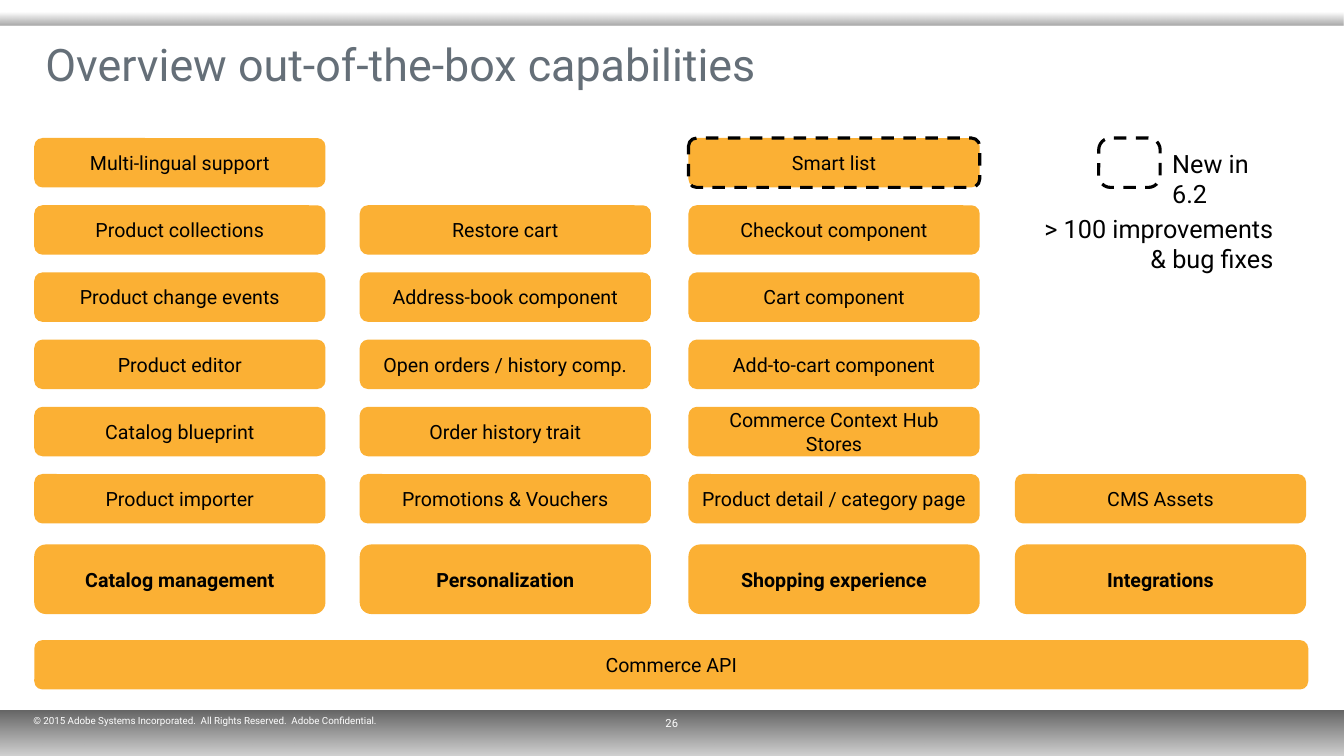
from dataclasses import dataclass, field
from typing import Any

from pptx import Presentation
from pptx.dml.color import RGBColor
from pptx.enum.dml import MSO_LINE
from pptx.enum.shapes import MSO_SHAPE
from pptx.enum.text import MSO_ANCHOR, PP_ALIGN
from pptx.oxml import parse_xml
from pptx.oxml.ns import nsdecls
from pptx.util import Pt

HUES = {"amber": "FBB034", "black": "000000", "white": "FFFFFF", "slate": "656F78"}
FACE = "Roboto"
WIDE, HIGH = 208, 35.3
TOP, STEP = 98.6, 48
HEAD_TOP, HEAD_HIGH = 388.9, 49.7


@dataclass
class Column:
    left: float
    head: str
    items: list[str]


@dataclass
class Box:
    left: float
    top: float
    wide: float
    high: float
    text: str = ""
    fill: str = "amber"
    bold: bool = False
    dash: bool = False
    curve: float = 0.167


@dataclass
class Label:
    left: float
    top: float
    wide: float
    high: float
    text: str
    size: float
    hue: str = "black"
    align: Any = PP_ALIGN.LEFT
    frame: dict[str, Any] = field(default_factory=dict)


@dataclass
class Band:
    top: float
    high: float
    stops: list[tuple[int, int]]


COLUMNS = [
    Column(24.5, "Catalog management", [
        "Product importer", "Catalog blueprint", "Product editor",
        "Product change events", "Product collections", "Multi-lingual support"]),
    Column(257, "Personalization", [
        "Promotions & Vouchers", "Order history trait", "Open orders / history comp.",
        "Address-book component", "Restore cart"]),
    Column(491.8, "Shopping experience", [
        "Product detail / category page", "Commerce Context Hub Stores",
        "Add-to-cart component", "Cart component", "Checkout component", "Smart list"]),
    Column(725, "Integrations", ["CMS Assets"]),
]
NEW = {"Smart list"}
PADS = {"margin_left": Pt(8.64), "margin_right": Pt(8.64),
        "margin_top": Pt(4.32), "margin_bottom": Pt(4.32)}
MID = {"vertical_anchor": MSO_ANCHOR.MIDDLE}
FLUSH = {key: 0 for key in PADS} | {"vertical_anchor": MSO_ANCHOR.BOTTOM}
BANDS = [
    Band(507.6, 32.4, [(0, 61), (100, 18)]),
    Band(0, 18, [(0, 0), (48, 0), (100, 35)]),
]
LABELS = [
    Label(23.8, 510.5, 408, 8.6,
          "© 2015 Adobe Systems Incorporated.  All Rights Reserved.  Adobe Confidential.",
          7, "white", frame=FLUSH),
    Label(439.9, 509.8, 79.9, 13, "26", 8, "white", PP_ALIGN.CENTER, PADS | MID),
    Label(830.2, 102.2, 94.3, 28.8, "New in 6.2", 18),
    Label(733, 149, 183.6, 51.1, "> 100 improvements & bug fixes", 18,
          align=PP_ALIGN.RIGHT),
]


def tint(name: str) -> RGBColor:
    """Return the named colour."""
    return RGBColor.from_string(HUES[name])


def apply(thing: Any, values: dict[str, Any]) -> None:
    """Set each format value on an object."""
    for key, value in values.items():
        setattr(thing, key, value)


def place(shape: Any, left: float, top: float, wide: float, high: float) -> None:
    """Move and size a shape in points."""
    apply(shape, {"left": Pt(left), "top": Pt(top), "width": Pt(wide), "height": Pt(high)})


def write(shape: Any, text: str, size: float, hue: str, align: Any,
          frame: dict[str, Any], bold: bool = False) -> None:
    """Fill a shape with one formatted paragraph."""
    body = shape.text_frame
    apply(body, {"word_wrap": True} | frame)
    line = body.paragraphs[0]
    line.text, line.alignment = text, align
    font = line.runs[0].font
    apply(font, {"name": FACE, "size": Pt(size), "bold": bold})
    font.color.rgb = tint(hue)


def draw_box(slide: Any, box: Box) -> None:
    """Draw a rounded box."""
    shape = slide.shapes.add_shape(MSO_SHAPE.ROUNDED_RECTANGLE, 0, 0, 0, 0)
    place(shape, box.left, box.top, box.wide, box.high)
    shape.adjustments[0] = box.curve
    shape.shadow.inherit = False
    shape.fill.solid()
    shape.fill.fore_color.rgb = tint(box.fill)
    if box.dash:
        shape.line.color.rgb = tint("black")
        apply(shape.line, {"width": Pt(2.25), "dash_style": MSO_LINE.DASH})
    else:
        shape.line.fill.background()
    if box.text:
        write(shape, box.text, 14, "black", PP_ALIGN.CENTER, MID, box.bold)


def draw_label(slide: Any, label: Label) -> None:
    """Draw a text box."""
    shape = slide.shapes.add_textbox(0, 0, 0, 0)
    place(shape, label.left, label.top, label.wide, label.high)
    write(shape, label.text, label.size, label.hue, label.align, label.frame)


def draw_band(slide: Any, band: Band) -> None:
    """Draw a full-width band that fades downwards."""
    shape = slide.shapes.add_shape(MSO_SHAPE.RECTANGLE, 0, 0, 0, 0)
    place(shape, 0, band.top, 960, band.high)
    shape.shadow.inherit = False
    shape.line.fill.background()
    stops = "".join(
        f'<a:gs pos="{pos * 1000}"><a:srgbClr val="{HUES["black"]}">'
        f'<a:alpha val="{alpha * 1000}"/></a:srgbClr></a:gs>'
        for pos, alpha in band.stops)
    fade = parse_xml(f'<a:gradFill {nsdecls("a")} rotWithShape="1"><a:gsLst>{stops}</a:gsLst>'
                     '<a:lin ang="5400000" scaled="0"/></a:gradFill>')
    shape.element.spPr.find(".//{*}prstGeom").addnext(fade)


def main() -> None:
    """Build and save the slide."""
    deck = Presentation()
    apply(deck, {"slide_width": Pt(960), "slide_height": Pt(540)})
    slide = deck.slides.add_slide(deck.slide_layouts[5])
    title = slide.shapes.title
    place(title, 23.8, 22.3, 911.5, 46.8)
    write(title, "Overview out-of-the-box capabilities", 32, "slate",
          PP_ALIGN.LEFT, PADS | MID)
    for band in BANDS:
        draw_band(slide, band)
    for col in COLUMNS:
        draw_box(slide, Box(col.left, HEAD_TOP, WIDE, HEAD_HIGH, col.head, bold=True))
        for row, item in enumerate(col.items):
            top = TOP + STEP * (5 - row)
            draw_box(slide, Box(col.left, top, WIDE, HIGH, item, dash=item in NEW))
    draw_box(slide, Box(24.5, 457.2, 910, HIGH, "Commerce API"))
    draw_box(slide, Box(784.8, TOP, 43.9, HIGH, fill="white", dash=True, curve=0.24))
    for label in LABELS:
        draw_label(slide, label)
    deck.save("out.pptx")


if __name__ == "__main__":
    main()
